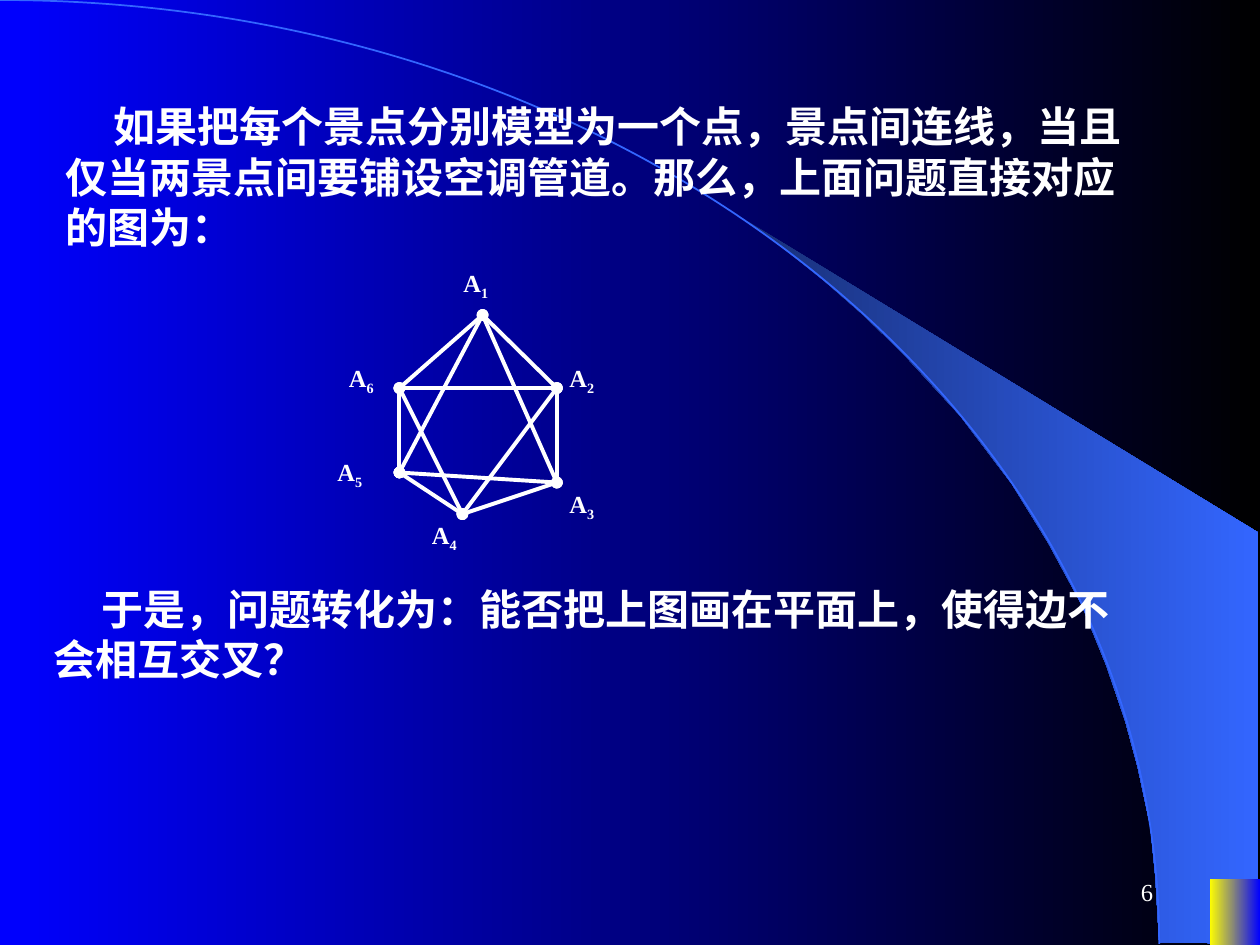
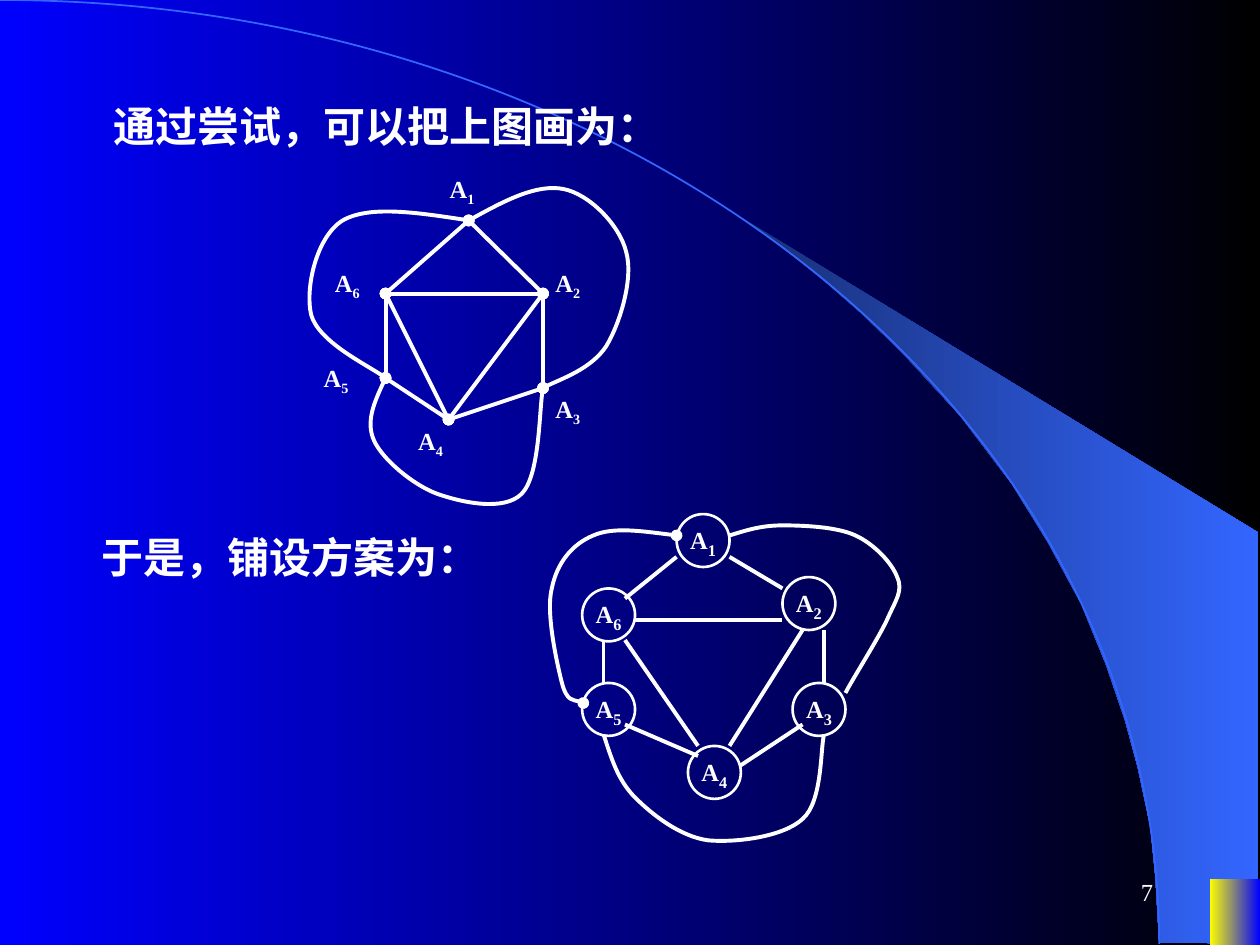
from lxml import etree
from pptx import Presentation
from pptx.dml.color import RGBColor
from pptx.enum import shapes, text
from pptx.oxml import ns
from pptx.util import Inches, Pt

WHITE = RGBColor(0xFF, 0xFF, 0xFF)
BLACK = RGBColor(0, 0, 0)
BLUE = RGBColor(0, 0, 0xFF)
SKY = RGBColor(0x33, 0x66, 0xFF)
NAVY = RGBColor(0x18, 0x2F, 0x76)
YELLOW = RGBColor(0xFF, 0xFF, 0)
FONT = "Times New Roman"
LABEL_SIZE = 14
CIRCLE_SIZE = 0.42

ARC = [(0, 0), (5.08, 0), (9.2, 3.35), (9.2, 7.49)]
BEAM = [(9.2, 7.48), (9.99, 7.49), (9.99, 4.23), (5.89, 1.73), (6.24, 1.99),
        (6.53, 2.22), (6.85, 2.5), (7.16, 2.8), (7.62, 3.3), (8.03, 3.84),
        (8.32, 4.31), (8.58, 4.79), (8.78, 5.28), (8.93, 5.72), (9.03, 6.09),
        (9.13, 6.56), (9.17, 6.96), (9.2, 7.48)]

# Places below are relative to the box of each graph.
SPOTS = {1: (0.66, 0), 2: (1.25, 0.58), 3: (1.25, 1.33),
         4: (0.5, 1.58), 5: (0, 1.25), 6: (0, 0.58)}
SPOT_LABELS = {6: (-0.5, 0.33), 5: (-0.59, 1.08), 4: (0.16, 1.58),
               3: (1.25, 1.33), 2: (1.25, 0.33), 1: (0.41, -0.42)}
PLANAR_EDGES = [(6, 4), (1, 6), (6, 5), (1, 2), (2, 3), (5, 4), (3, 4), (6, 2), (2, 4)]
CROSSING_EDGES = [(5, 3), (1, 5), (1, 3)]
DETOURS = [
    [SPOTS[1], (0.27, -0.06), (-0.13, -0.12), (-0.34, 0), (-0.55, 0.13), (-0.64, 0.54),
     (-0.59, 0.75), (-0.53, 0.96), (-0.1, 1.17), SPOTS[5]],
    [SPOTS[1], (0.93, -0.15), (1.2, -0.29), (1.41, -0.25), (1.62, -0.21), (1.86, 0.04),
     (1.91, 0.25), (1.97, 0.46), (1.86, 0.82), (1.75, 1), (1.63, 1.18), (1.33, 1.28),
     SPOTS[3]],
    [SPOTS[5], (-0.08, 1.42), (-0.16, 1.6), (-0.09, 1.75), (-0.02, 1.9), (0.22, 2.1),
     (0.41, 2.17), (0.61, 2.24), (0.94, 2.31), (1.08, 2.17), (1.22, 2.03), (1.22, 1.47),
     SPOTS[3]],
]

CIRCLES = {1: (1.04, 0), 4: (1.13, 1.84), 5: (0.29, 1.34),
           3: (1.96, 1.34), 2: (1.88, 0.5), 6: (0.29, 0.59)}
PIPES = [((1.46, 0.34), (1.88, 0.59)), ((1.04, 0.34), (0.63, 0.67)),
         ((0.71, 0.84), (1.88, 0.84)), ((0.63, 1), (1.21, 1.84)),
         ((2.04, 0.92), (1.46, 1.84)), ((2.21, 0.92), (2.21, 1.34)),
         ((1.54, 2), (2.04, 1.67)), ((0.63, 1.67), (1.21, 1.92)),
         ((0.46, 1), (0.46, 1.34))]
DOTTED_PIPE = [(1.04, 0.17), (0.79, 0.14), (0.54, 0.1), (0.38, 0.17), (0.21, 0.24),
               (0.09, 0.39), (0.05, 0.59), (0, 0.78), (0.09, 1.18), (0.13, 1.34),
               (0.17, 1.49), (0.27, 1.48), (0.3, 1.5)]
BENT_PIPES = [
    [(1.46, 0.17), (1.59, 0.13), (1.71, 0.09), (1.88, 0.09), (2.04, 0.09), (2.31, 0.1),
     (2.46, 0.17), (2.61, 0.24), (2.75, 0.39), (2.79, 0.5), (2.84, 0.61), (2.78, 0.68),
     (2.71, 0.84), (2.64, 0.99), (2.43, 1.32), (2.38, 1.42)],
    [(0.46, 1.75), (0.52, 1.93), (0.57, 2.11), (0.71, 2.25), (0.85, 2.39), (1.07, 2.56),
     (1.29, 2.59), (1.52, 2.61), (1.89, 2.56), (2.04, 2.42), (2.2, 2.28), (2.18, 1.86),
     (2.21, 1.75)],
]


def shift(origin, point):
    return origin[0] + point[0], origin[1] + point[1]


def fill_gradient(fill, start, end):
    fill.gradient()
    fill.gradient_angle = 0
    for stop, color in zip(fill.gradient_stops, (start, end)):
        stop.color.rgb = color


def style_line(line, color=WHITE, width=2.25, dotted=False):
    """Colour a line and, when dotted, put a round dot at both ends."""
    line.color.rgb = color
    line.width = Pt(width)
    if dotted:
        for end in ("a:headEnd", "a:tailEnd"):
            etree.SubElement(line._get_or_add_ln(), ns.qn(end), type="oval")


def draw_outline(slide, points):
    (x, y), *rest = [(Inches(x), Inches(y)) for x, y in points]
    builder = slide.shapes.build_freeform(x, y)
    builder.add_line_segments(rest, close=False)
    outline = builder.convert_to_shape()
    outline.shadow.inherit = False
    return outline


def add_curve(slide, origin, controls, **line_style):
    """Draw joined cubic Bezier pieces, three control points to each piece."""
    curve = draw_outline(slide, [shift(origin, point) for point in controls])
    segments = list(curve._element.iter(ns.qn("a:lnTo")))
    for i in range(0, len(segments), 3):
        piece = etree.Element(ns.qn("a:cubicBezTo"))
        segments[i].addprevious(piece)
        for segment in segments[i:i + 3]:
            piece.append(segment[0])
            segment.getparent().remove(segment)
    curve.fill.background()
    style_line(curve.line, **line_style)


def add_edge(slide, origin, start, end, dotted=False):
    ends = shift(origin, start) + shift(origin, end)
    edge = slide.shapes.add_connector(
        shapes.MSO_CONNECTOR.STRAIGHT, *(Inches(value) for value in ends))
    style_line(edge.line, dotted=dotted)
    etree.SubElement(edge._element.spPr, ns.qn("a:effectLst"))


def set_font(font, size, bold=True):
    font.name = FONT
    font.size = Pt(size)
    font.bold = bold
    font.color.rgb = WHITE


def add_textbox(slide, left, top, width, height):
    frame = slide.shapes.add_textbox(
        Inches(left), Inches(top), Inches(width), Inches(height)).text_frame
    frame.word_wrap = True
    return frame


def write_spot_name(paragraph, number, number_size=LABEL_SIZE):
    """Write A with the number as its subscript."""
    paragraph.add_run().text = "A"
    subscript = paragraph.add_run()
    subscript.text = str(number)
    set_font(paragraph.font, LABEL_SIZE)
    if number_size != LABEL_SIZE:
        subscript.font.size = Pt(number_size)
    subscript._r.get_or_add_rPr().set("baseline", "-25000")


def add_statement(slide, left, top, height, words):
    paragraph = add_textbox(slide, left, top, 8.83, height).paragraphs[0]
    paragraph.text = words
    properties = paragraph._p.get_or_add_pPr()
    properties.set("marL", "0")
    properties.set("indent", str(Inches(0.38)))
    set_font(paragraph.font, 24)


def decorate_master(master, slide):
    """Draw the beam, arc and corner on a still empty slide, then move them to the master."""
    fill_gradient(master.background.fill, BLUE, BLACK)

    beam = draw_outline(slide, BEAM)
    fill_gradient(beam.fill, NAVY, SKY)
    beam.line.fill.background()
    add_curve(slide, (0, 0), ARC, color=SKY, width=1)

    corner = slide.shapes.add_shape(
        shapes.MSO_SHAPE.RECTANGLE, Inches(9.6), Inches(6.98), Inches(0.4), Inches(0.52))
    corner.shadow.inherit = False
    fill_gradient(corner.fill, YELLOW, BLUE)
    corner.line.fill.background()

    for part in list(slide.shapes):
        master.shapes._spTree.append(part._element)


def add_page_number(slide, number):
    frame = add_textbox(slide, 7.17, 6.83, 2.08, 0.5)
    frame.vertical_anchor = text.MSO_ANCHOR.MIDDLE
    page = frame.paragraphs[0]
    page.text = str(number)
    page.alignment = text.PP_ALIGN.RIGHT
    set_font(page.font, 14, bold=False)


def add_spot_graph(slide, origin, edges, detours=()):
    for start, end in edges:
        add_edge(slide, origin, SPOTS[start], SPOTS[end], dotted=True)
    for number, place in SPOT_LABELS.items():
        label = add_textbox(slide, *shift(origin, place), 0.6, 0.37)
        write_spot_name(label.paragraphs[0], number)
    for detour in detours:
        add_curve(slide, origin, detour, dotted=True)


def add_pipe_plan(slide, origin):
    for number, place in CIRCLES.items():
        left, top = shift(origin, place)
        circle = slide.shapes.add_shape(
            shapes.MSO_SHAPE.OVAL, Inches(left), Inches(top),
            Inches(CIRCLE_SIZE), Inches(CIRCLE_SIZE))
        circle.shadow.inherit = False
        circle.fill.background()
        style_line(circle.line, width=1.5)
        frame = circle.text_frame
        frame.margin_left = frame.margin_right = frame.margin_top = frame.margin_bottom = 0
        frame.word_wrap = False
        frame.vertical_anchor = text.MSO_ANCHOR.MIDDLE
        frame.paragraphs[0].alignment = text.PP_ALIGN.CENTER
        write_spot_name(frame.paragraphs[0], number, number_size=16)
    for start, end in PIPES:
        add_edge(slide, origin, start, end)
    add_curve(slide, origin, DOTTED_PIPE, dotted=True)
    for pipe in BENT_PIPES:
        add_curve(slide, origin, pipe)


def fill_model_slide(slide):
    add_page_number(slide, 6)
    add_statement(slide, 0.42, 0.75, 1.3,
                  "如果把每个景点分别模型为一个点，景点间连线，当且仅当两景点间要铺设空调管道。"
                  "那么，上面问题直接对应的图为：")
    add_spot_graph(slide, (3.17, 2.5), CROSSING_EDGES + PLANAR_EDGES)
    add_statement(slide, 0.33, 4.58, 0.9,
                  "于是，问题转化为：能否把上图画在平面上，使得边不会相互交叉？")


def fill_solution_slide(slide):
    add_page_number(slide, 7)
    add_statement(slide, 0.42, 0.75, 0.5, "通过尝试，可以把上图画为：")
    add_statement(slide, 0.33, 4.17, 0.5, "于是，铺设方案为：")
    add_spot_graph(slide, (3.06, 1.75), PLANAR_EDGES, DETOURS)
    add_pipe_plan(slide, (4.33, 4.08))


def main():
    prs = Presentation()
    prs.slide_width = Inches(10)
    prs.slide_height = Inches(7.5)
    blank = prs.slide_layouts[6]
    model, solution = (prs.slides.add_slide(blank) for _ in range(2))
    decorate_master(prs.slide_master, model)
    fill_model_slide(model)
    fill_solution_slide(solution)
    prs.save("out.pptx")


if __name__ == "__main__":
    main()
